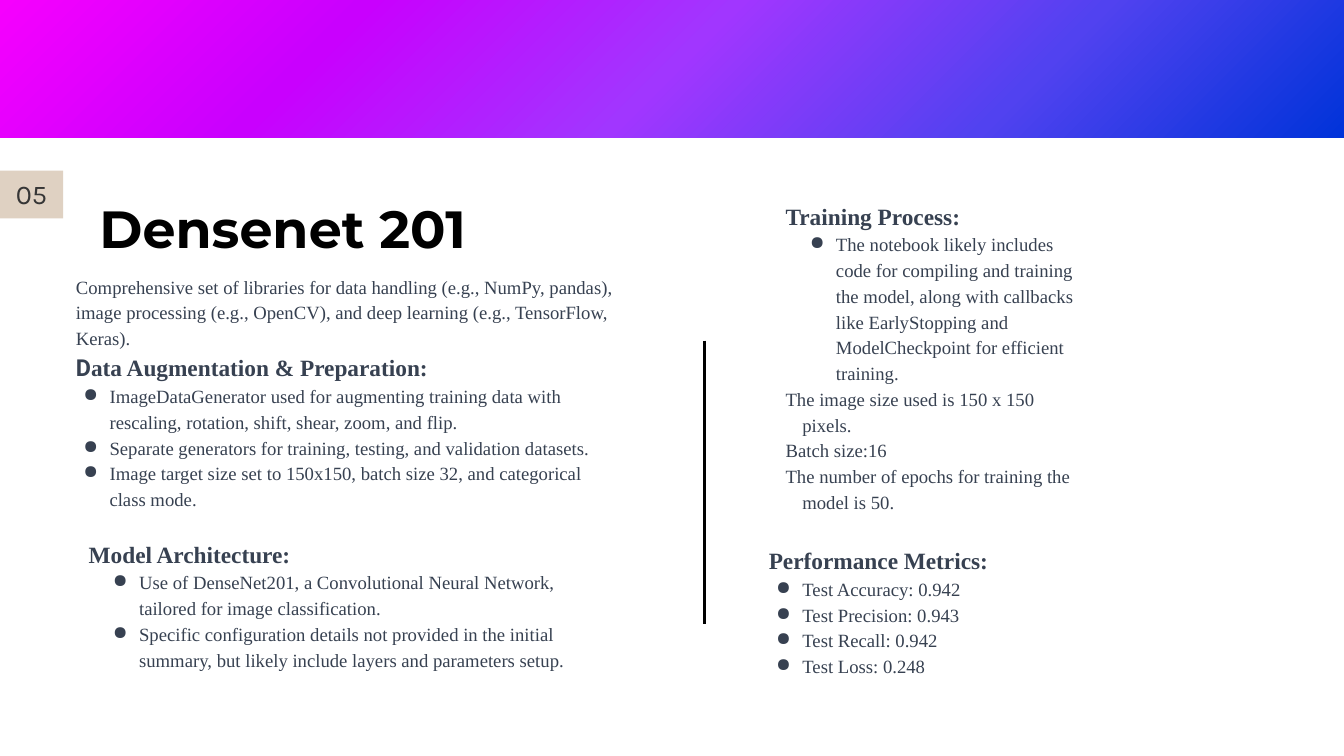
from lxml import etree
from pptx import Presentation
from pptx.dml.color import RGBColor
from pptx.enum.shapes import MSO_CONNECTOR, MSO_SHAPE
from pptx.enum.text import MSO_ANCHOR, MSO_AUTO_SIZE, PP_ALIGN
from pptx.oxml.ns import qn
from pptx.util import Inches, Pt

RECTANGLE = MSO_SHAPE.RECTANGLE
STRAIGHT = MSO_CONNECTOR.STRAIGHT
TOP = MSO_ANCHOR.TOP
GROW = MSO_AUTO_SIZE.SHAPE_TO_FIT_TEXT
LEFT, CENTER = PP_ALIGN.LEFT, PP_ALIGN.CENTER
TITLE_ONLY = 5

COLORS = {"title": "000000", "body": "374151", "rule": "000000",
          "tag": "DFD1C2", "tag_text": "363636"}
BAND_STOPS = {0: "F600FE", 25: "C900FE", 50: "A136FF", 75: "5142F0", 100: "0033D9"}
BODY_FONT = "Times New Roman"
HANGING = {"margin": 0.5, "indent": -0.25}
BULLET = {"margin": 0.5, "indent": -0.39, "bullet": True}
SUB_BULLET = {"margin": 1, "indent": -0.39, "bullet": True, "level": 1}
HEADING = {"size": 25, "bold": True}


class SlideBuilder:
    """Holds the text style and the slide being filled."""

    def __init__(self, slide):
        self.slide = slide

    def style(self, font, name, size, color, bold=False):
        font.name, font.size, font.bold = name, Pt(size), bold
        font.color.rgb = RGBColor.from_string(COLORS[color])

    def frame(self, shape, insets=(0, 0, 0, 0)):
        """Prepare a wrapping, top-anchored frame; insets are left, top, right, bottom."""
        frame = shape.text_frame
        frame.word_wrap, frame.vertical_anchor = True, TOP
        (frame.margin_left, frame.margin_top,
         frame.margin_right, frame.margin_bottom) = map(Inches, insets)
        return frame

    def title(self, text, left, top, width, height):
        title = self.slide.shapes.title
        title.left, title.top = Inches(left), Inches(top)
        title.width, title.height = Inches(width), Inches(height)
        frame = self.frame(title)
        frame.auto_size = GROW
        frame.text = text
        line = frame.paragraphs[0]
        line.alignment, line.line_spacing = LEFT, 1.4
        self.style(line.font, "Montserrat", 56, "title", True)

    def text(self, left, top, width, height, lines, top_inset=0):
        box = self.slide.shapes.add_textbox(*map(Inches, (left, top, width, height)))
        frame = self.frame(box, (0, top_inset, 0, 0))
        frame.auto_size = GROW
        for number, (text, options) in enumerate(lines):
            paragraph = frame.paragraphs[0] if number == 0 else frame.add_paragraph()
            self.paragraph(paragraph, text, **options)
        return frame

    def paragraph(self, paragraph, text, size=20, bold=False, margin=0, indent=0,
                  bullet=False, level=0, before=0):
        paragraph.text, paragraph.level = text, level
        paragraph.line_spacing, paragraph.space_before = 1.15, Pt(before)
        properties = paragraph._p.get_or_add_pPr()
        properties.set("marL", str(Inches(margin)))
        properties.set("indent", str(Inches(indent)))
        if bullet:
            color = etree.SubElement(properties, qn("a:buClr"))
            etree.SubElement(color, qn("a:srgbClr"), val=COLORS["body"])
            etree.SubElement(properties, qn("a:buChar"), char="●")
        self.style(paragraph.font, BODY_FONT, size, "body", bold)

    def rectangle(self, left, top, width, height):
        shape = self.slide.shapes.add_shape(
            RECTANGLE, *map(Inches, (left, top, width, height)))
        shape.shadow.inherit = False
        shape.line.fill.background()
        return shape

    def gradient_band(self, left, top, width, height, stops):
        """Rectangle whose gradient spreads from its top left corner."""
        band = self.rectangle(left, top, width, height)
        band.fill.background()
        gradient = etree.Element(qn("a:gradFill"), rotWithShape="1")
        stop_list = etree.SubElement(gradient, qn("a:gsLst"))
        for percent, color in stops.items():
            stop = etree.SubElement(stop_list, qn("a:gs"), pos=str(percent * 1000))
            etree.SubElement(stop, qn("a:srgbClr"), val=color)
        shade = etree.SubElement(gradient, qn("a:path"))
        shade.set("path", "circle")
        etree.SubElement(shade, qn("a:fillToRect"), r="100000", b="100000")
        properties = band._element.spPr
        properties.replace(properties.find(qn("a:noFill")), gradient)

    def divider(self, x, top, bottom):
        line = self.slide.shapes.add_connector(
            STRAIGHT, *map(Inches, (x, top, x, bottom)))
        line.line.color.rgb = RGBColor.from_string(COLORS["rule"])
        line.line.width = Pt(3)
        etree.SubElement(line._element.spPr, qn("a:effectLst"))

    def page_tag(self, number, left, top, width, height):
        tag = self.rectangle(left, top, width, height)
        tag.fill.solid()
        tag.fill.fore_color.rgb = RGBColor.from_string(COLORS["tag"])
        frame = self.frame(tag, (0.1, 0.1, 0.1, 0.2))
        frame.text = number
        frame.paragraphs[0].alignment = CENTER
        self.style(frame.paragraphs[0].font, "Karla", 29, "tag_text")


def main():
    deck = Presentation()
    deck.slide_width, deck.slide_height = Inches(20), Inches(11.25)
    builder = SlideBuilder(deck.slides.add_slide(deck.slide_layouts[TITLE_ONLY]))

    builder.title("Densenet 201", 1.48, 2.54, 9.18, 0.94)
    builder.text(1.07, 7.97, 7.87, 2.68, [
        ("Model Architecture:", HEADING | HANGING | {"before": 15}),
        ("Use of DenseNet201, a Convolutional Neural Network, tailored for image "
         "classification.", SUB_BULLET),
        ("Specific configuration details not provided in the initial summary, but "
         "likely include layers and parameters setup.", SUB_BULLET),
    ])
    builder.text(11.44, 2.51, 4.72, 7.86, [
        ("Training Process:", HEADING | HANGING),
        ("The notebook likely includes code for compiling and training the model, "
         "along with callbacks like EarlyStopping and ModelCheckpoint for efficient "
         "training.", SUB_BULLET),
        ("The image size used is 150 x 150 pixels.", HANGING),
        ("Batch size:16", HANGING),
        ("The number of epochs for training the model is 50.", HANGING),
        ("Performance Metrics:", HEADING | {"before": 31}),
        ("Test Accuracy: 0.942", BULLET),
        ("Test Precision: 0.943", BULLET),
        ("Test Recall: 0.942", BULLET),
        ("Test Loss: 0.248", BULLET),
    ], top_inset=0.43)
    preparation = builder.text(1.13, 4.05, 8.08, 3.92, [
        ("Comprehensive set of libraries for data handling (e.g., NumPy, pandas), "
         "image processing (e.g., OpenCV), and deep learning (e.g., TensorFlow, "
         "Keras).", {}),
        ("D", HEADING),
        ("ImageDataGenerator used for augmenting training data with rescaling, "
         "rotation, shift, shear, zoom, and flip.", BULLET),
        ("Separate generators for training, testing, and validation datasets.", BULLET),
        ("Image target size set to 150x150, batch size 32, and categorical class "
         "mode.", BULLET),
    ])
    heading = preparation.paragraphs[1]
    heading.runs[0].font.name = "Roboto"
    heading.add_run().text = "ata Augmentation & Preparation:"

    builder.gradient_band(0, 0, 20, 2.05, BAND_STOPS)
    builder.divider(10.48, 5.07, 9.28)
    builder.page_tag("05", 0, 2.54, 0.94, 0.71)
    deck.save("out.pptx")


if __name__ == "__main__":
    main()
